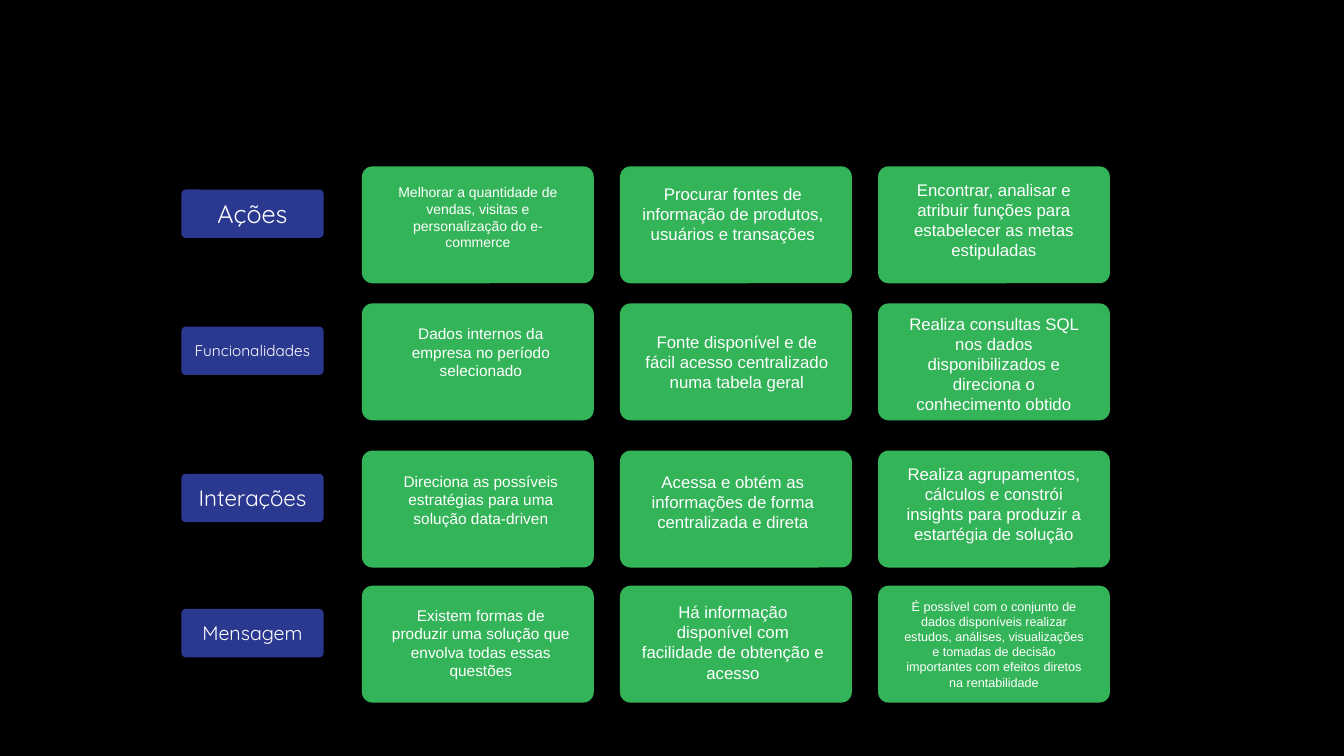
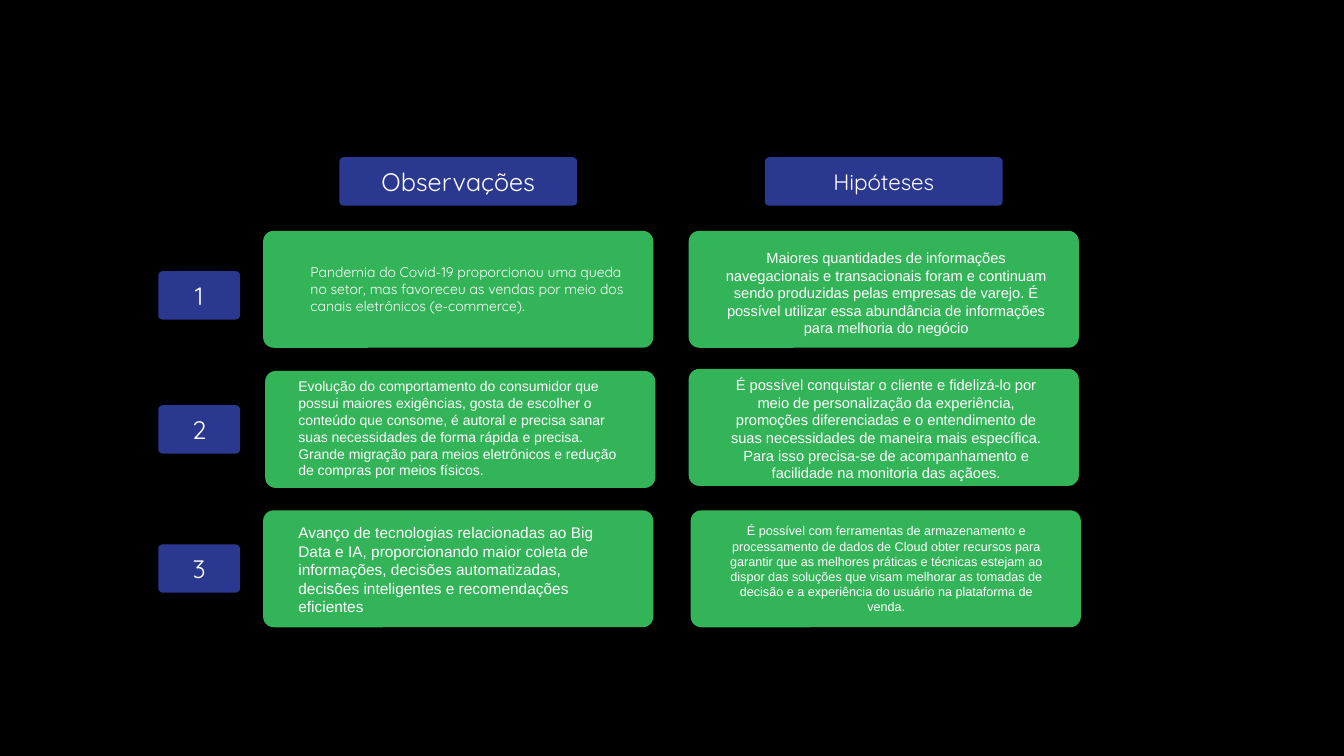
from pptx import Presentation
from pptx.dml.color import RGBColor
from pptx.enum.shapes import MSO_SHAPE
from pptx.enum.text import MSO_ANCHOR, MSO_AUTO_SIZE, PP_ALIGN
from pptx.util import Inches, Pt

WIDE, HIGH = Inches(13.33), Inches(7.5)
CARD_H, TAG_H = 15.47, 6.4

# A note: text, size, line count, shift right and down from its grid cell
ACTS = [
    ("Ações", 18, 22, [
        ("Melhorar a quantidade de vendas, visitas e personalização do e-commerce",
         10, 4, 1.05, 1.6),
        ("Procurar fontes de informação de produtos, usuários e transações",
         12, 3, 0.83, 1.6),
        ("Encontrar, analisar e atribuir funções para estabelecer as metas "
         "estipuladas", 12, 4, 1.05, 1.07)]),
    ("Funcionalidades", 11, 40.13, [
        ("Dados internos da empresa no período selecionado", 11, 3, 1.28, 2.13),
        ("Fonte disponível e de fácil acesso centralizado numa tabela geral",
         12, 3, 1.13, 3.07),
        ("Realiza consultas SQL nos dados disponibilizados e direciona o "
         "conhecimento obtido", 12, 5, 1.05, 0.67)]),
    ("Interações", 16, 59.6, [
        ("Direciona as possíveis estratégias para uma solução data-driven",
         11, 3, 1.28, 2.13),
        ("Acessa e obtém as informações de forma centralizada e direta",
         12, 3, 0.83, 2.13),
        ("Realiza agrupamentos, cálculos e constrói insights para produzir a "
         "estartégia de solução", 12, 4, 1.05, 1.07)]),
    ("Mensagem", 14, 77.47, [
        ("Existem formas de produzir uma solução que envolva todas essas questões",
         11, 4, 1.28, 2),
        ("Há informação disponível com facilidade de obtenção e acesso",
         12, 4, 0.83, 1.47),
        ("É possível com o conjunto de dados disponíveis realizar estudos, "
         "análises, visualizações e tomadas de decisão importantes com efeitos "
         "diretos na rentabilidade", 9, 6, 1.05, 1.07)]),
]

HEADS = [("Observações", 18, 19.58), ("Hipóteses", 16, 51.24)]

# Tag top, row top, left note, right note
FACTS = [
    (35.87, 30.53,
     ("Pandemia do Covid-19 proporcionou uma queda no setor, mas favoreceu as "
      "vendas por meio dos canais eletrônicos (e-commerce).", 10, 3, 2.78, 3.73),
     ("Maiores quantidades de informações navegacionais e transacionais foram e "
      "continuam sendo produzidas pelas empresas de varejo. É possível utilizar "
      "essa abundância de informações para melhoria do negócio",
      10.5, 5, 1.95, 1.73)),
    (53.6, 48.8,
     ("Evolução do comportamento do consumidor que possui maiores exigências, "
      "gosta de escolher o conteúdo que consome, é autoral e precisa sanar suas "
      "necessidades de forma rápida e precisa. Grande migração para meios "
      "eletrônicos e redução de compras por meios físicos.", 10, 6, 1.88, 0.53),
     ("É possível conquistar o cliente e fidelizá-lo por meio de personalização "
      "da experiência, promoções diferenciadas e o entendimento de suas "
      "necessidades de maneira mais específica. Para isso precisa-se de "
      "acompanhamento e facilidade na monitoria das açãoes.",
      10.5, 6, 1.95, 0.27)),
    (72, 67.5,
     ("Avanço de tecnologias relacionadas ao Big Data e IA, proporcionando maior "
      "coleta de informações, decisões automatizadas, decisões inteligentes e "
      "recomendações eficientes", 11, 5, 1.88, 1.07),
     ("É possível com ferramentas de armazenamento e processamento de dados de "
      "Cloud obter recursos para garantir que as melhores práticas e técnicas "
      "estejam ao dispor das soluções que visam melhorar as tomadas de decisão e "
      "a experiência do usuário na plataforma de venda.", 9, 6, 1.95, 1.07)),
]
# Small card shifts, by row and column
NUDGE = {(1, 0): (0.15, 0.27), (2, 1): (0.15, 0)}


def paint(fill, tone):
    fill.solid()
    fill.fore_color.rgb = RGBColor.from_string(tone)


def place(x, y, w, h):
    """Turn percent shares of the slide into lengths."""
    return [int(side * part / 100) for side, part in
            zip((WIDE, HIGH, WIDE, HIGH), (x, y, w, h))]


class Deck:
    BACK, GREEN, BLUE, WHITE = "000000", "33B458", "2B388F", "FFFFFF"
    BODY, HEAD = "Arial", "Quicksand"
    FRAME = {"word_wrap": True, "vertical_anchor": MSO_ANCHOR.TOP}

    def __init__(self):
        self.show = Presentation()
        self.show.slide_width, self.show.slide_height = WIDE, HIGH
        self.slide = None

    def page(self):
        self.slide = self.show.slides.add_slide(self.show.slide_layouts[6])
        paint(self.slide.background.fill, self.BACK)

    def label(self, shape, text, size, font, align=PP_ALIGN.CENTER, **form):
        frame = shape.text_frame
        for name, value in {**self.FRAME, **form}.items():
            setattr(frame, name, value)
        para = frame.paragraphs[0]
        para.alignment = align
        run = para.add_run()
        run.text = text
        for name, value in {"size": Pt(size), "name": font}.items():
            setattr(run.font, name, value)
        paint(run.font.fill, self.WHITE)

    def block(self, x, y, w, h, tone):
        shape = self.slide.shapes.add_shape(
            MSO_SHAPE.ROUNDED_RECTANGLE, *place(x, y, w, h))
        shape.adjustments[0] = 0.09
        shape.shadow.inherit = False
        shape.line.fill.background()
        paint(shape.fill, tone)
        return shape

    def card(self, x, y, w):
        self.block(x, y, w, CARD_H, self.GREEN)

    def tag(self, x, y, w, text, size):
        self.label(self.block(x, y, w, TAG_H, self.BLUE), text, size, self.HEAD,
                   vertical_anchor=MSO_ANCHOR.MIDDLE)

    def note(self, x, y, w, note, font=BODY, align=PP_ALIGN.CENTER):
        text, size, lines, right, down = note
        high = 1.33 + lines * size / 4.5  # insets plus lines at 1.2 spacing
        box = self.slide.shapes.add_textbox(*place(x + right, y + down, w, high))
        self.label(box, text, size, font, align,
                   auto_size=MSO_AUTO_SIZE.SHAPE_TO_FIT_TEXT)


def acts(deck):
    deck.page()
    for name, size, top, notes in ACTS:
        deck.tag(13.5, top + 3.07, 10.58, name, size)
        for col, note in enumerate(notes):
            left = 26.93 + 19.2 * col
            deck.card(left, top, 17.25)
            deck.note(left, top, 15.15, note)


def facts(deck):
    deck.page()
    wide, head = 29.03, 17.7
    for name, size, left in HEADS:
        deck.tag(left + (wide - head) / 2, 20.8, head, name, size)
    for row, (tag, top, *notes) in enumerate(FACTS):
        deck.tag(11.78, tag, 6.08, str(row + 1), 18)
        for col, note in enumerate(notes):
            left = HEADS[col][2]
            right, down = NUDGE.get((row, col), (0, 0))
            deck.card(left + right, top + down, wide)
            deck.note(left, top, 25.51, note,
                      deck.BODY if row or col else deck.HEAD,
                      PP_ALIGN.CENTER if col else PP_ALIGN.LEFT)


def main():
    deck = Deck()
    acts(deck)
    facts(deck)
    deck.show.save("out.pptx")


if __name__ == "__main__":
    main()
